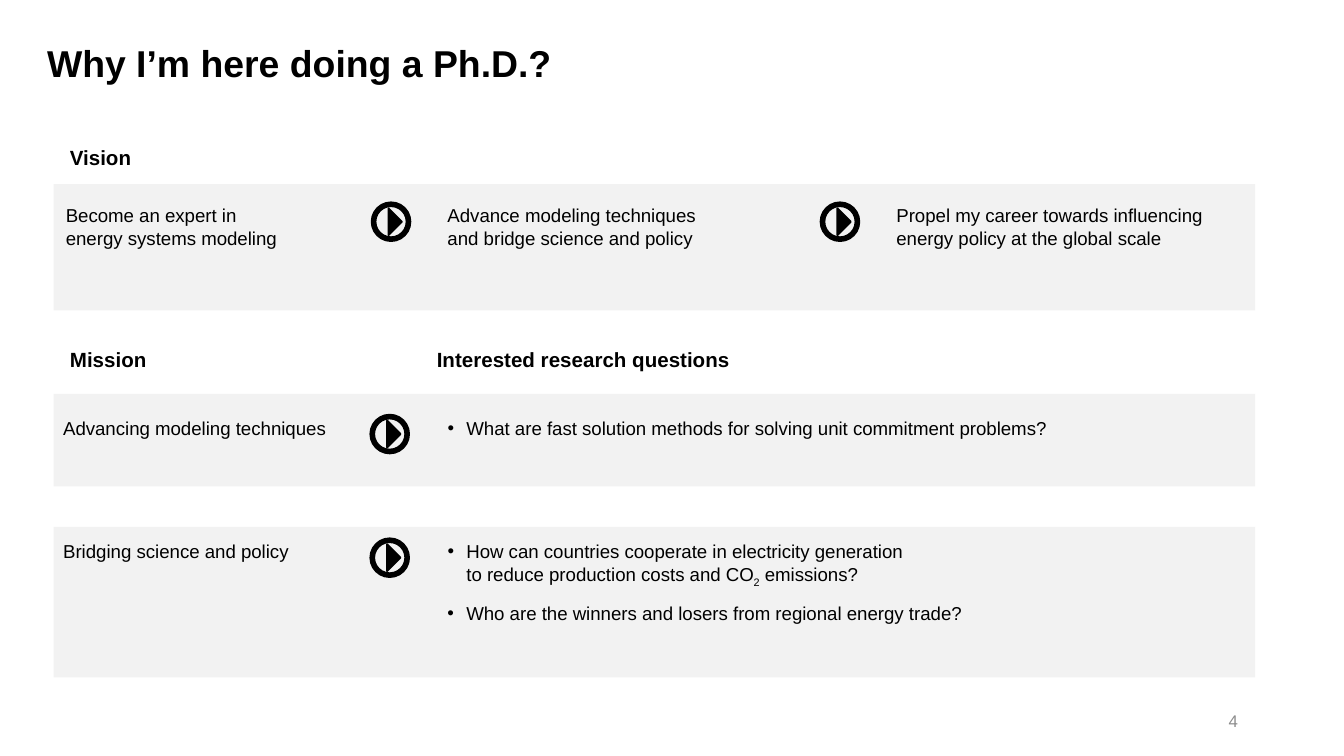
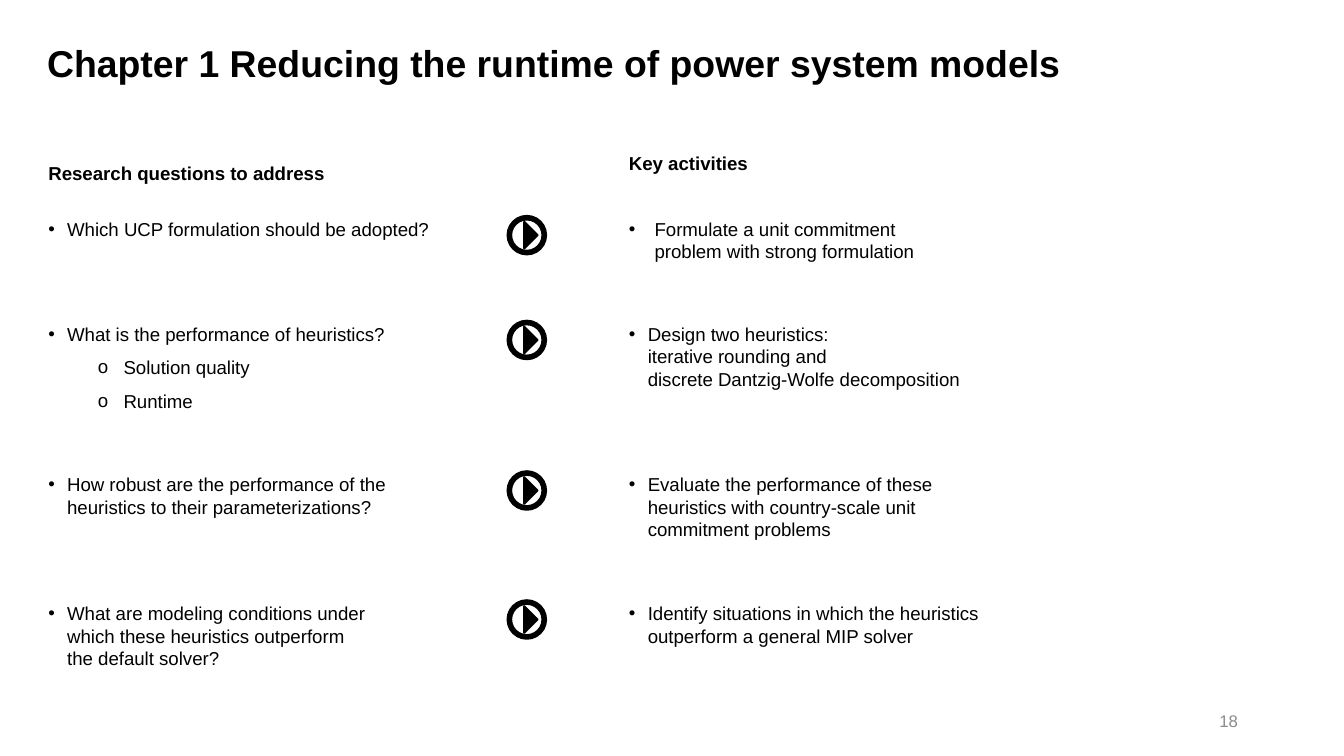
"""Build two research slides: motivation for a Ph.D. and the plan of chapter 1."""
from dataclasses import dataclass
from typing import NamedTuple, Optional

from lxml.etree import SubElement
from pptx import Presentation
from pptx.dml.color import RGBColor
from pptx.enum.shapes import MSO_SHAPE as Preset
from pptx.enum.text import MSO_ANCHOR as Anchor, MSO_AUTO_SIZE as AutoSize, PP_ALIGN as Align
from pptx.oxml.ns import qn
from pptx.util import Inches, Pt

BLACK = RGBColor(0x00, 0x00, 0x00)
GRAY = RGBColor(0x8C, 0x8C, 0x8C)
BAND = RGBColor(0xF2, 0xF2, 0xF2)
FONT = "Arial"

WIDTH, HEIGHT = Inches(10), Inches(5.625)
COLUMN = WIDTH / 100
ROW = HEIGHT / 56.25
LINE_ROWS = 1.68
TWO_CONTENT = 3


class Box(NamedTuple):
    left: float
    top: float
    width: float
    height: float

    def emu(self) -> tuple:
        return (round(self.left * COLUMN), round(self.top * ROW),
                round(self.width * COLUMN), round(self.height * ROW))


class Bullet(NamedTuple):
    mark: str
    margin: float
    hanging: float
    level: int = 0


@dataclass(frozen=True)
class Label:
    text: str
    box: Box
    size: float = 10
    bold: bool = False
    line_spacing: float = 1.0


@dataclass(frozen=True)
class Listing:
    items: tuple
    left: float
    top: float
    width: float
    lines: int = 1


@dataclass(frozen=True)
class StudyRow:
    top: float
    questions: tuple
    question_lines: int
    activity: str
    activity_lines: int
    activity_width: float = 25


DOT = Bullet("•", 1.4, 1.4)
WIDE_DOT = Bullet("•", 1.9, 1.9)
RING = Bullet("o", 5.6, 1.9, 1)

TITLE_BOX = Box(3.5, 3, 91.6, 3.4)
PAGE_BOX = Box(70.6, 52.1, 22.5, 3)

BANDS = [Box(4, 13.7, 89.4, 9.4), Box(4, 29.3, 89.4, 6.9), Box(4, 39.2, 89.4, 11.2)]
MOTIVE_BADGES = [(27.8, 15.2), (61.2, 15.2), (27.7, 31), (27.7, 40.2)]
MOTIVE_LABELS = [
    Label("Vision", Box(5.2, 10.8, 8, 1.9), size=11, bold=True),
    Label("Mission", Box(5.2, 25.8, 9.1, 1.9), size=11, bold=True),
    Label("Interested research questions", Box(32.5, 25.8, 30.8, 1.9), size=11, bold=True),
    Label("Become an expert in\nenergy systems modeling", Box(4.9, 15.2, 20, 3.4)),
    Label("Advance modeling techniques\nand bridge science and policy", Box(33.3, 15.2, 25, 3.4)),
    Label("Propel my career towards influencing energy policy at the global scale",
          Box(66.7, 15.2, 25, 3.4)),
    Label("Advancing modeling techniques", Box(4.7, 31, 25, 1.7)),
    Label("Bridging science and policy", Box(4.7, 40.2, 25, 1.7)),
]
MOTIVE_LISTS = [
    Listing(("What are fast solution methods for solving unit commitment problems?",),
            33.3, 31, 57.3),
    Listing(("How can countries cooperate in electricity generation\n"
             "to reduce production costs and CO~2~ emissions?",), 33.3, 40.2, 54.9, 2),
    Listing(("Who are the winners and losers from regional energy trade?",), 33.3, 44.8, 50),
]

QUESTION_LEFT, BADGE_LEFT, ACTIVITY_LEFT = 3.6, 37.9, 46.8
CHAPTER_LABELS = [
    Label("Research questions to address", Box(QUESTION_LEFT, 11.2, 30.9, 2.2),
          bold=True, line_spacing=1.5),
    Label("Key activities", Box(ACTIVITY_LEFT, 11.3, 25, 1.7), bold=True),
]
STUDY_ROWS = [
    StudyRow(16.2, ("Which UCP formulation should be adopted?",), 1,
             "Formulate a unit commitment problem with strong formulation", 2),
    StudyRow(24, ("What is the performance of heuristics?", "Solution quality", "Runtime"), 4,
             "Design two heuristics:\niterative rounding and\n"
             "discrete Dantzig-Wolfe decomposition", 3),
    StudyRow(35.2, ("How robust are the performance of the heuristics to their "
                    "parameterizations?",), 2,
             "Evaluate the performance of these heuristics with country-scale unit "
             "commitment problems", 3),
    StudyRow(44.8, ("What are modeling conditions under\nwhich these heuristics outperform\n"
                    "the default solver?",), 3,
             "Identify situations in which the heuristics outperform a general MIP solver",
             2, 27.6),
]


def set_bullet(paragraph, bullet: Bullet) -> None:
    paragraph.level = bullet.level
    properties = paragraph._p.get_or_add_pPr()
    properties.set("marL", str(round(bullet.margin * COLUMN)))
    properties.set("indent", str(-round(bullet.hanging * COLUMN)))
    SubElement(properties, qn("a:buFont")).set("typeface", FONT)
    SubElement(properties, qn("a:buChar")).set("char", bullet.mark)


def write_text(shape, *texts: str, size: float = 10, bold: bool = False,
               color: RGBColor = BLACK, align: Align = Align.LEFT,
               anchor: Anchor = Anchor.TOP, side_margin: float = 0,
               line_spacing: float = 1.0, space_after: float = 0,
               bullet: Optional[Bullet] = None, sub_bullet: Bullet = RING) -> None:
    """Write paragraphs, where newlines break lines and tildes enclose subscripts."""
    frame = shape.text_frame
    frame.word_wrap = True
    frame.auto_size = AutoSize.NONE
    frame.vertical_anchor = anchor
    frame.margin_left = frame.margin_right = round(side_margin * COLUMN)
    frame.margin_top = frame.margin_bottom = 0
    for index, text in enumerate(texts):
        paragraph = frame.add_paragraph() if index else frame.paragraphs[0]
        if bullet:
            set_bullet(paragraph, sub_bullet if index else bullet)
        paragraph.alignment = align
        paragraph.line_spacing = line_spacing
        paragraph.space_before = Pt(0)
        paragraph.space_after = Pt(space_after)
        for line_index, line in enumerate(text.split("\n")):
            if line_index:
                paragraph.add_line_break()
            for part_index, part in enumerate(line.split("~")):
                run = paragraph.add_run()
                run.text = part
                font = run.font
                font.name, font.size, font.bold = FONT, Pt(size), bold
                font.color.rgb = color
                if part_index % 2:
                    run._r.get_or_add_rPr().set("baseline", "-25000")


def place(shape, box: Box) -> None:
    shape.left, shape.top, shape.width, shape.height = box.emu()


def add_label(slide, label: Label) -> None:
    write_text(slide.shapes.add_textbox(*label.box.emu()), label.text, size=label.size,
               bold=label.bold, line_spacing=label.line_spacing)


def add_list(slide, listing: Listing, bullet: Bullet = DOT, space_after: float = 0) -> None:
    """Fill the next empty body placeholder, or a text box once none is left."""
    box = Box(listing.left, listing.top, listing.width, listing.lines * LINE_ROWS)
    empty = [shape for shape in slide.placeholders if not shape.text_frame.text]
    if empty:
        shape = empty[0]
        place(shape, box)
        slide.shapes._spTree.append(shape._element)
    else:
        shape = slide.shapes.add_textbox(*box.emu())
    write_text(shape, *listing.items, bullet=bullet, space_after=space_after)


def add_preset(shapes, preset: Preset, box: Box, fill: Optional[RGBColor] = None,
               line_width: float = 0):
    shape = shapes.add_shape(preset, *box.emu())
    shape.shadow.inherit = False
    if fill is None:
        shape.fill.background()
    else:
        shape.fill.solid()
        shape.fill.fore_color.rgb = fill
    if line_width:
        shape.line.color.rgb = BLACK
        shape.line.width = Pt(line_width)
    else:
        shape.line.fill.background()
    return shape


def add_badge(slide, left: float, top: float) -> None:
    """Draw a ring around a triangle that points right."""
    shapes = slide.shapes.add_group_shape().shapes
    add_preset(shapes, Preset.OVAL, Box(left, top, 2.6, 2.6), line_width=3)
    pointer = add_preset(shapes, Preset.ISOSCELES_TRIANGLE, Box(left + 0.6, top + 0.8, 2, 1),
                         fill=BLACK, line_width=1)
    pointer.rotation = 90


def add_slide(presentation, title: str, page: int):
    slide = presentation.slides.add_slide(presentation.slide_layouts[TWO_CONTENT])
    place(slide.shapes.title, TITLE_BOX)
    write_text(slide.shapes.title, title, size=20, bold=True)
    write_text(slide.shapes.add_textbox(*PAGE_BOX.emu()), str(page), size=9, color=GRAY,
               align=Align.RIGHT, anchor=Anchor.MIDDLE, side_margin=1)
    return slide


def build_motive(presentation) -> None:
    slide = add_slide(presentation, "Why I’m here doing a Ph.D.?", 4)
    for band in BANDS:
        add_preset(slide.shapes, Preset.RECTANGLE, band, fill=BAND)
    for label in MOTIVE_LABELS:
        add_label(slide, label)
    for left, top in MOTIVE_BADGES:
        add_badge(slide, left, top)
    for listing in MOTIVE_LISTS:
        add_list(slide, listing)


def build_chapter(presentation) -> None:
    slide = add_slide(presentation, "Chapter 1 Reducing the runtime of power system models", 18)
    for label in CHAPTER_LABELS:
        add_label(slide, label)
    for index, row in enumerate(STUDY_ROWS):
        add_list(slide, Listing(row.questions, QUESTION_LEFT, row.top, 29.7,
                                row.question_lines), space_after=6)
        add_badge(slide, BADGE_LEFT, row.top)
        add_list(slide, Listing((row.activity,), ACTIVITY_LEFT, row.top, row.activity_width,
                                row.activity_lines),
                 bullet=DOT if index else WIDE_DOT, space_after=6)


def main() -> None:
    presentation = Presentation()
    presentation.slide_width, presentation.slide_height = WIDTH, HEIGHT
    build_motive(presentation)
    build_chapter(presentation)
    presentation.save("out.pptx")


if __name__ == "__main__":
    main()
